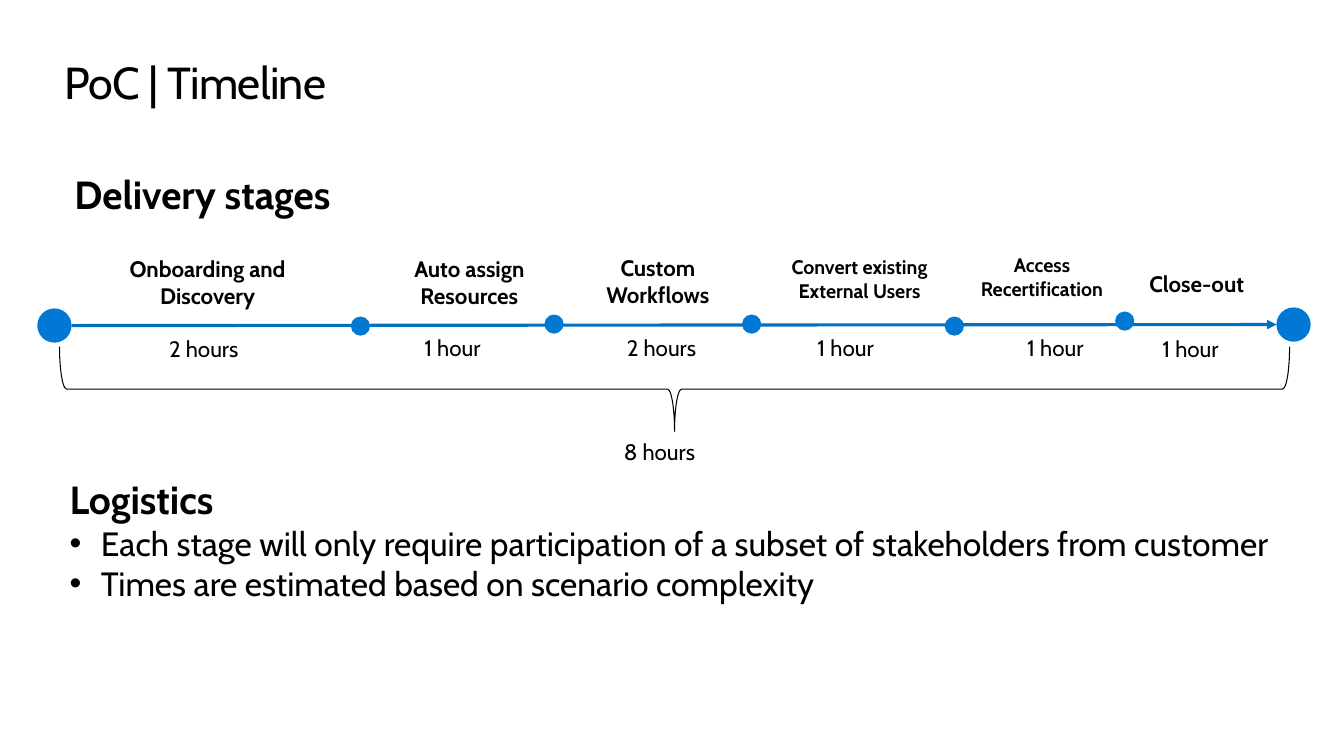
"""Builds the PoC timeline slide with its delivery stages and logistics."""
from lxml import etree
from pptx import Presentation
from pptx.dml.color import RGBColor
from pptx.enum.shapes import MSO_CONNECTOR, MSO_SHAPE
from pptx.enum.text import MSO_ANCHOR, MSO_AUTO_SIZE, PP_ALIGN
from pptx.oxml.ns import qn
from pptx.util import Inches, Pt

LEFT, CENTER = PP_ALIGN.LEFT, PP_ALIGN.CENTER
MIDDLE, TOP = MSO_ANCHOR.MIDDLE, MSO_ANCHOR.TOP
NO_FIT = MSO_AUTO_SIZE.NONE
OVAL, BRACE = MSO_SHAPE.OVAL, MSO_SHAPE.RIGHT_BRACE
STRAIGHT = MSO_CONNECTOR.STRAIGHT

FONT = "Cabin"
BLACK = RGBColor(0x00, 0x00, 0x00)
DOT_BLUE = RGBColor(0x00, 0x78, 0xD4)
LINE_BLUE = RGBColor(0x00, 0x70, 0xC0)

TITLE = "PoC | Timeline"
STAGES_HEADING = "Delivery stages"
LOGISTICS = [
    "Logistics",
    "Each stage will only require participation of a subset of stakeholders from customer",
    "Times are estimated based on scenario complexity",
]
# name, (left, top, width, height), size, alignment
STAGES = [
    ("Onboarding and Discovery", (1.01, 2.48, 2.1, 0.64), 16, CENTER),
    ("Auto assign Resources", (3.72, 2.48, 1.87, 0.64), 16, CENTER),
    ("Custom Workflows", (5.59, 2.47, 1.87, 0.64), 16, CENTER),
    ("Convert existing External Users", (7.68, 2.48, 1.69, 0.57), 14, CENTER),
    ("Access Recertification", (9.52, 2.46, 1.63, 0.57), 14, CENTER),
    ("Close-out", (11.3, 2.63, 1.31, 0.37), 16, LEFT),
]
# text, left, top
DURATIONS = [
    ("2 hours", 1.58, 3.28),
    ("1 hour", 4.11, 3.27),
    ("2 hours", 6.12, 3.27),
    ("1 hour", 8.01, 3.27),
    ("1 hour", 10.09, 3.27),
    ("1 hour", 11.43, 3.28),
    ("8 hours", 6.09, 4.3),
]
END_DOT, STAGE_DOT = 0.34, 0.19
# left, top, diameter
DOTS = [
    (0.37, 3.06, END_DOT),
    (3.48, 3.14, STAGE_DOT),
    (5.4, 3.12, STAGE_DOT),
    (7.36, 3.12, STAGE_DOT),
    (9.37, 3.14, STAGE_DOT),
    (11.06, 3.09, STAGE_DOT),
    (12.66, 3.05, END_DOT),
]


def place(shape, left, top, width, height):
    shape.left, shape.top = Inches(left), Inches(top)
    shape.width, shape.height = Inches(width), Inches(height)


def style(paragraph, size, bold=False, alignment=LEFT):
    paragraph.alignment = alignment
    for run in paragraph.runs:
        run.font.name = FONT
        run.font.size = Pt(size)
        run.font.bold = bold
        run.font.color.rgb = BLACK


def add_label(slide, text, box, size, bold=False, alignment=LEFT):
    label = slide.shapes.add_textbox(*map(Inches, box))
    label.text_frame.word_wrap = True
    label.text_frame.text = text
    style(label.text_frame.paragraphs[0], size, bold, alignment)


def set_bullet(paragraph, bulleted):
    properties = paragraph._p.get_or_add_pPr()
    indent = Inches(0.31) if bulleted else 0
    properties.set("marL", str(indent))
    properties.set("indent", str(-indent))
    if bulleted:
        etree.SubElement(properties, qn("a:buFont")).set("typeface", "Arial")
        etree.SubElement(properties, qn("a:buChar")).set("char", "•")
    else:
        etree.SubElement(properties, qn("a:buNone"))


def fill_title(title):
    place(title, 0.64, 0.5, 12.05, 0.61)
    frame = title.text_frame
    frame.text = TITLE
    frame.auto_size = NO_FIT
    frame.vertical_anchor = MIDDLE
    frame.margin_left = frame.margin_right = frame.margin_top = frame.margin_bottom = 0
    style(frame.paragraphs[0], 32)
    frame.paragraphs[0].runs[0]._r.get_or_add_rPr().set("spc", "-50")


def fill_logistics(body):
    place(body, 0.59, 4.67, 12.3, 2.19)
    frame = body.text_frame
    frame.text = "\n".join(LOGISTICS)
    frame.auto_size = NO_FIT
    frame.vertical_anchor = TOP
    for index, paragraph in enumerate(frame.paragraphs):
        is_heading = index == 0
        set_bullet(paragraph, not is_heading)
        paragraph.space_before = Pt(0)
        style(paragraph, 28 if is_heading else 24, is_heading)


def add_timeline(slide):
    first, last = DOTS[0], DOTS[-1]
    arrow = slide.shapes.add_connector(
        STRAIGHT,
        Inches(first[0] + END_DOT), Inches(first[1] + END_DOT / 2),
        Inches(last[0]), Inches(last[1] + END_DOT / 2),
    )
    arrow.line.color.rgb = LINE_BLUE
    arrow.line.width = Pt(2.25)
    etree.SubElement(arrow.line._get_or_add_ln(), qn("a:tailEnd")).set("type", "triangle")
    etree.SubElement(arrow._element.spPr, qn("a:effectLst"))

    for left, top, diameter in DOTS:
        dot = slide.shapes.add_shape(OVAL, *map(Inches, (left, top, diameter, diameter)))
        dot.shadow.inherit = False
        dot.fill.solid()
        dot.fill.fore_color.rgb = DOT_BLUE
        dot.line.fill.background()

    brace = slide.shapes.add_shape(BRACE, *map(Inches, (6.27, -2.24, 0.84, 12.2)))
    brace.rotation = 90
    brace.shadow.inherit = False
    brace.fill.background()
    brace.line.color.rgb = BLACK
    brace.line.width = Pt(0.75)


def main():
    presentation = Presentation()
    presentation.slide_width, presentation.slide_height = Inches(13.33), Inches(7.5)
    slide = presentation.slides.add_slide(presentation.slide_layouts[1])
    fill_title(slide.shapes.title)
    fill_logistics(slide.placeholders[1])
    add_label(slide, STAGES_HEADING, (0.64, 1.64, 7.4, 0.57), 28, True)
    add_timeline(slide)
    for name, box, size, alignment in STAGES:
        add_label(slide, name, box, size, True, alignment)
    for text, left, top in DURATIONS:
        add_label(slide, text, (left, top, 0.94, 0.37), 16)
    presentation.save("out.pptx")


if __name__ == "__main__":
    main()
